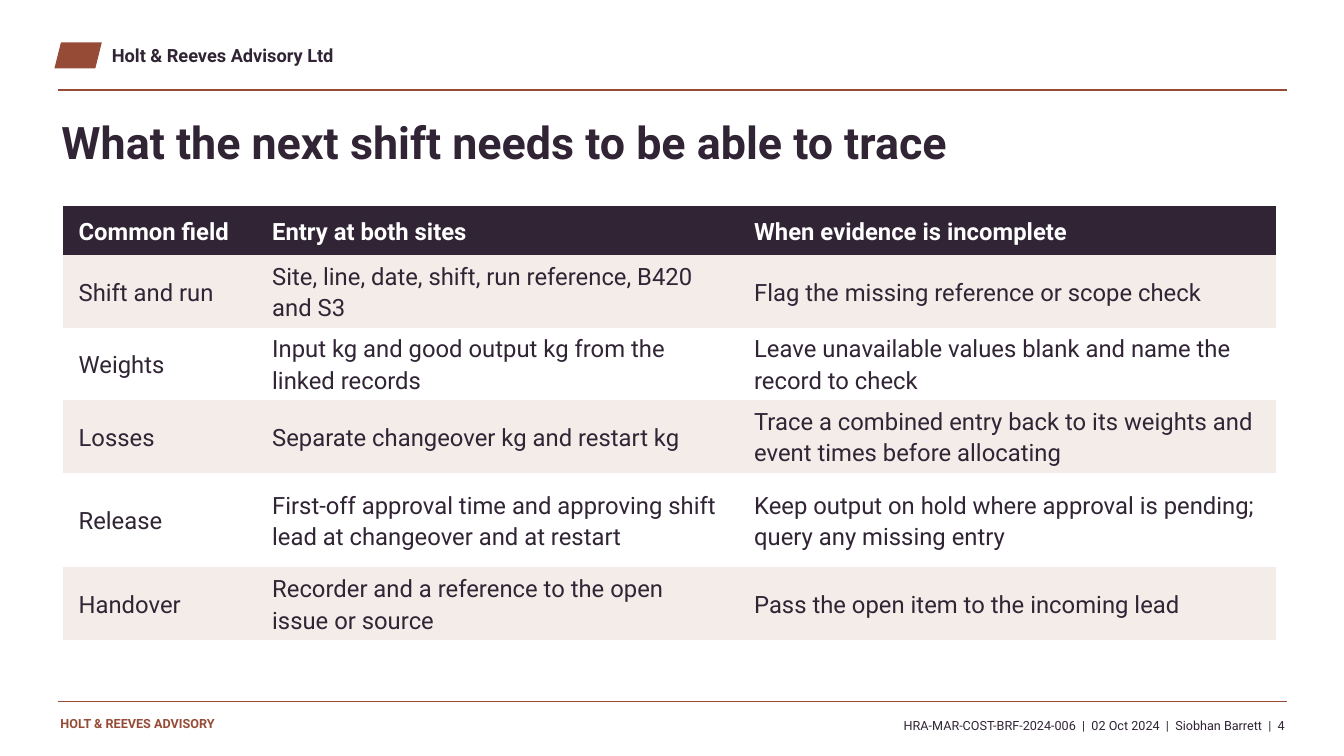
import pptx
import pptx.dml.color
import pptx.enum.shapes
import pptx.enum.text
import pptx.oxml.ns
import pptx.util
from lxml import etree

Inches = pptx.util.Inches
RGBColor = pptx.dml.color.RGBColor
Anchor = pptx.enum.text.MSO_ANCHOR
Align = pptx.enum.text.PP_ALIGN

RUST = RGBColor(0x96, 0x4B, 0x37)
PLUM = RGBColor(0x30, 0x24, 0x35)
BLUSH = RGBColor(0xF4, 0xEC, 0xE8)
WHITE = RGBColor(0xFF, 0xFF, 0xFF)

COLUMN_WIDTHS = [1.92, 4.78, 5.34]
ROW_HEIGHTS = [0.49, 0.72, 0.72, 0.72, 0.94, 0.72]
TRACE_ROWS = [
    ["Common field", "Entry at both sites", "When evidence is incomplete"],
    ["Shift and run", "Site, line, date, shift, run reference, B420 and S3",
     "Flag the missing reference or scope check"],
    ["Weights", "Input kg and good output kg from the linked records",
     "Leave unavailable values blank and name the record to check"],
    ["Losses", "Separate changeover kg and restart kg",
     "Trace a combined entry back to its weights and event times before allocating"],
    ["Release", "First-off approval time and approving shift lead at changeover and at restart",
     "Keep output on hold where approval is pending; query any missing entry"],
    ["Handover", "Recorder and a reference to the open issue or source",
     "Pass the open item to the incoming lead"],
]


def apply(target, values):
    """Set each named attribute on the target."""
    for name, value in values.items():
        setattr(target, name, value)


def write_text(frame, text, size, color, bold=False, align=Align.LEFT, spacing=None):
    """Write one formatted paragraph into a text frame."""
    paragraph = frame.paragraphs[0]
    paragraph.text = text
    apply(paragraph, {"alignment": align, "line_spacing": spacing})
    font = paragraph.runs[0].font
    apply(font, {"name": "Roboto", "size": pptx.util.Pt(size), "bold": bold})
    font.color.rgb = color


def set_frame(frame):
    """Give a text frame no insets, wrapping and a top anchor."""
    apply(frame, {"margin_left": 0, "margin_top": 0, "margin_right": 0, "margin_bottom": 0,
                  "word_wrap": True, "auto_size": pptx.enum.text.MSO_AUTO_SIZE.NONE,
                  "vertical_anchor": Anchor.TOP})


def add_label(slide, box, *text_format, **options):
    """Add a text box in the given box."""
    frame = slide.shapes.add_textbox(*map(Inches, box)).text_frame
    set_frame(frame)
    write_text(frame, *text_format, **options)


def add_rule(slide, left, top, width, weight):
    """Draw a horizontal rust line."""
    rule = slide.shapes.add_connector(
        pptx.enum.shapes.MSO_CONNECTOR.STRAIGHT,
        Inches(left), Inches(top), Inches(left + width), Inches(top))
    rule.line.color.rgb = RUST
    rule.line.width = pptx.util.Pt(weight)
    etree.SubElement(rule._element.spPr, pptx.oxml.ns.qn("a:effectLst"))


def add_header(slide, left, top, width):
    """Place the plain mark, company name and rule."""
    mark = slide.shapes.add_shape(
        pptx.enum.shapes.MSO_SHAPE.PARALLELOGRAM,
        Inches(left - 0.04), Inches(top), Inches(0.47), Inches(0.26))
    mark.shadow.inherit = False
    mark.fill.solid()
    mark.fill.fore_color.rgb = RUST
    mark.line.fill.background()
    add_label(slide, (left + 0.53, top + 0.02, 6, 0.27), "Holt & Reeves Advisory Ltd",
              13, PLUM, bold=True)
    add_rule(slide, left, top + 0.47, width, 1.5)


def add_title(slide, box):
    """Move and format the title placeholder."""
    title = slide.shapes.title
    apply(title, dict(zip(("left", "top", "width", "height"), map(Inches, box))))
    set_frame(title.text_frame)
    write_text(title.text_frame, "What the next shift needs to be able to trace",
               32, PLUM, bold=True, spacing=1.12)


def add_trace_table(slide, left, top):
    """Build the banded table of common fields."""
    table = slide.shapes.add_table(
        len(ROW_HEIGHTS), len(COLUMN_WIDTHS), Inches(left), Inches(top),
        Inches(sum(COLUMN_WIDTHS)), Inches(sum(ROW_HEIGHTS))).table
    table.horz_banding = False
    for column, width in zip(table.columns, COLUMN_WIDTHS):
        column.width = Inches(width)
    for index, (row, height) in enumerate(zip(table.rows, ROW_HEIGHTS)):
        row.height = Inches(height)
        is_header = index == 0
        fill = PLUM if is_header else BLUSH if index % 2 else WHITE
        for cell, text in zip(row.cells, TRACE_ROWS[index]):
            apply(cell, {"margin_left": Inches(0.16), "margin_right": Inches(0.16),
                         "margin_top": Inches(0.03), "margin_bottom": Inches(0.03),
                         "vertical_anchor": Anchor.MIDDLE})
            cell.fill.solid()
            cell.fill.fore_color.rgb = fill
            write_text(cell.text_frame, text, 17, WHITE if is_header else PLUM,
                       bold=is_header, spacing=1.12)
    style = table._tbl.tblPr.find(pptx.oxml.ns.qn("a:tableStyleId"))
    style.text = "{2D5ABB26-0587-4C30-8999-92F81FD0307C}"


def add_footer(slide, left, top, width):
    """Place the footer rule, company name and document reference."""
    add_rule(slide, left, top, width, 0.75)
    add_label(slide, (left + 0.02, top + 0.14, 3.4, 0.25), "HOLT & REEVES ADVISORY",
              9, RUST, bold=True)
    add_label(slide, (left + width - 8.64, top + 0.14, 8.62, 0.25),
              "HRA-MAR-COST-BRF-2024-006  |  02 Oct 2024  |  Siobhan Barrett  |  4",
              9, PLUM, align=Align.RIGHT, spacing=1.12)


def main():
    """Build and save the slide."""
    presentation = pptx.Presentation()
    apply(presentation, {"slide_width": Inches(13.33), "slide_height": Inches(7.5)})
    slide = presentation.slides.add_slide(presentation.slide_layouts[5])
    slide.background.fill.solid()
    slide.background.fill.fore_color.rgb = WHITE
    add_header(slide, 0.58, 0.42, 12.18)
    add_title(slide, (0.61, 1.07, 12, 0.78))
    add_trace_table(slide, 0.62, 2.04)
    add_footer(slide, 0.58, 6.96, 12.18)
    presentation.save("out.pptx")


if __name__ == "__main__":
    main()
